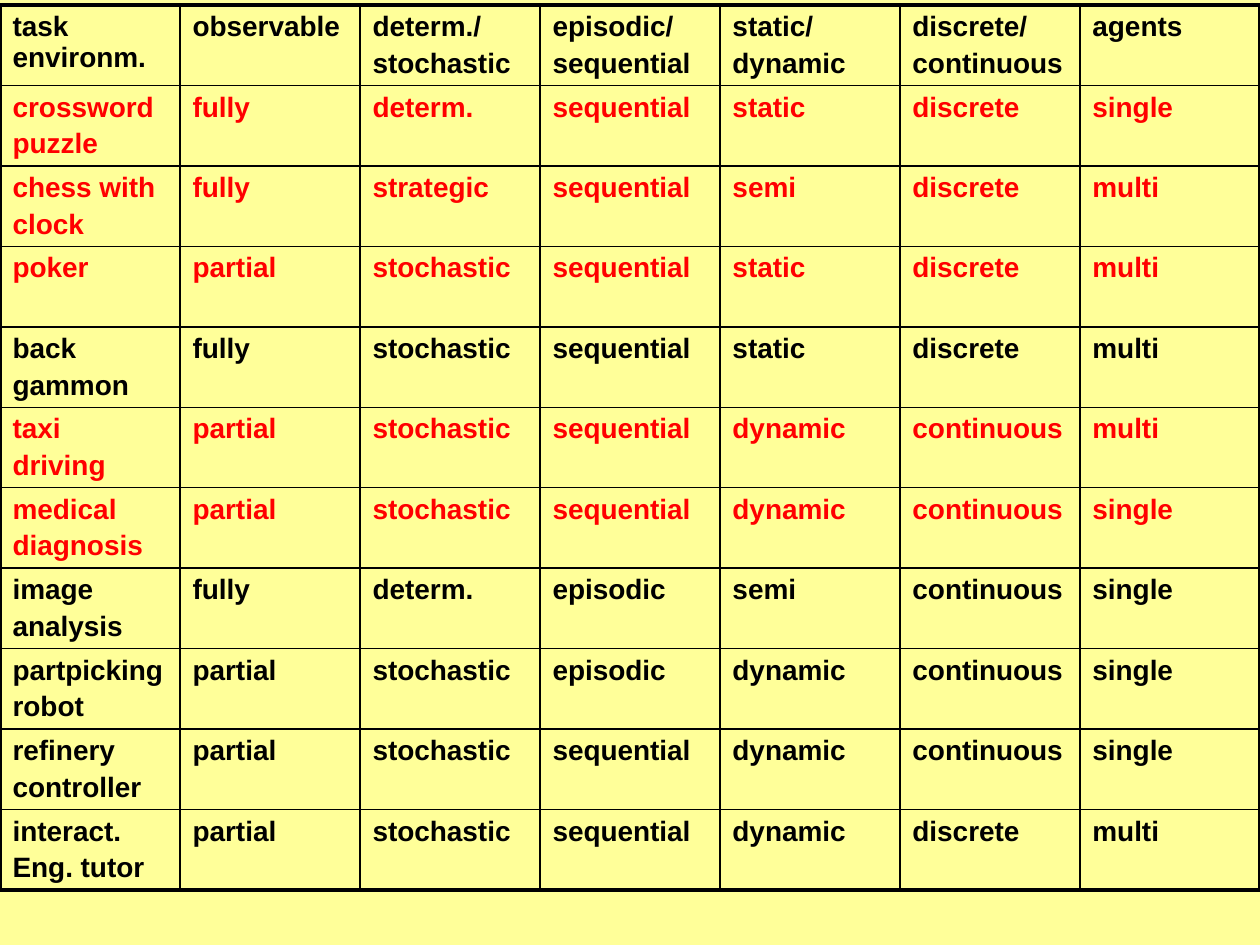
from lxml import etree
from pptx import Presentation
from pptx.dml.color import RGBColor
from pptx.oxml.ns import qn
from pptx.util import Inches, Pt

BLACK = RGBColor(0x00, 0x00, 0x00)
RED = RGBColor(0xFF, 0x00, 0x00)
CREAM = RGBColor(0xFF, 0xFF, 0x99)
THIN, THICK = Pt(1), Pt(2.25)

# One line per row; "|" parts the cells and "/n" style breaks are kept as lists.
HEAD = [
    ["task environm."], ["observable"], ["determ./", "stochastic"],
    ["episodic/", "sequential"], ["static/", "dynamic"],
    ["discrete/", "continuous"], ["agents"],
]
TASKS = [
    (["crossword", "puzzle"], "fully determ. sequential static discrete single", RED),
    (["chess with", "clock"], "fully strategic sequential semi discrete multi", RED),
    (["poker"], "partial stochastic sequential static discrete multi", RED),
    (["back", "gammon"], "fully stochastic sequential static discrete multi", BLACK),
    (["taxi", "driving"], "partial stochastic sequential dynamic continuous multi", RED),
    (["medical", "diagnosis"], "partial stochastic sequential dynamic continuous single", RED),
    (["image", "analysis"], "fully determ. episodic semi continuous single", BLACK),
    (["partpicking", "robot"], "partial stochastic episodic dynamic continuous single", BLACK),
    (["refinery", "controller"], "partial stochastic sequential dynamic continuous single", BLACK),
    (["interact.", "Eng. tutor"], "partial stochastic sequential dynamic discrete multi", BLACK),
]
ROWS = [(HEAD, BLACK)]
for task, traits, color in TASKS:
    ROWS.append(([task] + [[word] for word in traits.split()], color))


def set_edges(cell, widths):
    """Draw the left, right, top and bottom borders, in that order."""
    props = cell._tc.get_or_add_tcPr()
    for i, (side, width) in enumerate(zip("LRTB", widths)):
        line = etree.Element(qn(f"a:ln{side}"), w=str(width))
        fill = etree.SubElement(line, qn("a:solidFill"))
        etree.SubElement(fill, qn("a:srgbClr"), val=str(BLACK))
        props.insert(i, line)


deck = Presentation()
deck.slide_width, deck.slide_height = Inches(10), Inches(7.5)
slide = deck.slides.add_slide(deck.slide_layouts[6])
slide.background.fill.solid()
slide.background.fill.fore_color.rgb = CREAM

n_rows, n_cols = len(ROWS), len(HEAD)
frame = slide.shapes.add_table(
    n_rows, n_cols, 0, Inches(0.04), deck.slide_width, Inches(7.02))
table = frame.table
table.first_row = table.horz_banding = False

for r, (texts, color) in enumerate(ROWS):
    for c, lines in enumerate(texts):
        cell = table.cell(r, c)
        cell.fill.background()
        set_edges(cell, [
            THICK if edge else THIN
            for edge in (c == 0, c == n_cols - 1, r == 0, r == n_rows - 1)])
        cell.text_frame.text = "\n".join(lines)
        for i, para in enumerate(cell.text_frame.paragraphs):
            if i:
                para.space_before = Pt(3.2)
            para.font.name = "Arial"
            para.font.size = Pt(16)
            para.font.bold = True
            para.font.color.rgb = color

deck.save("out.pptx")
